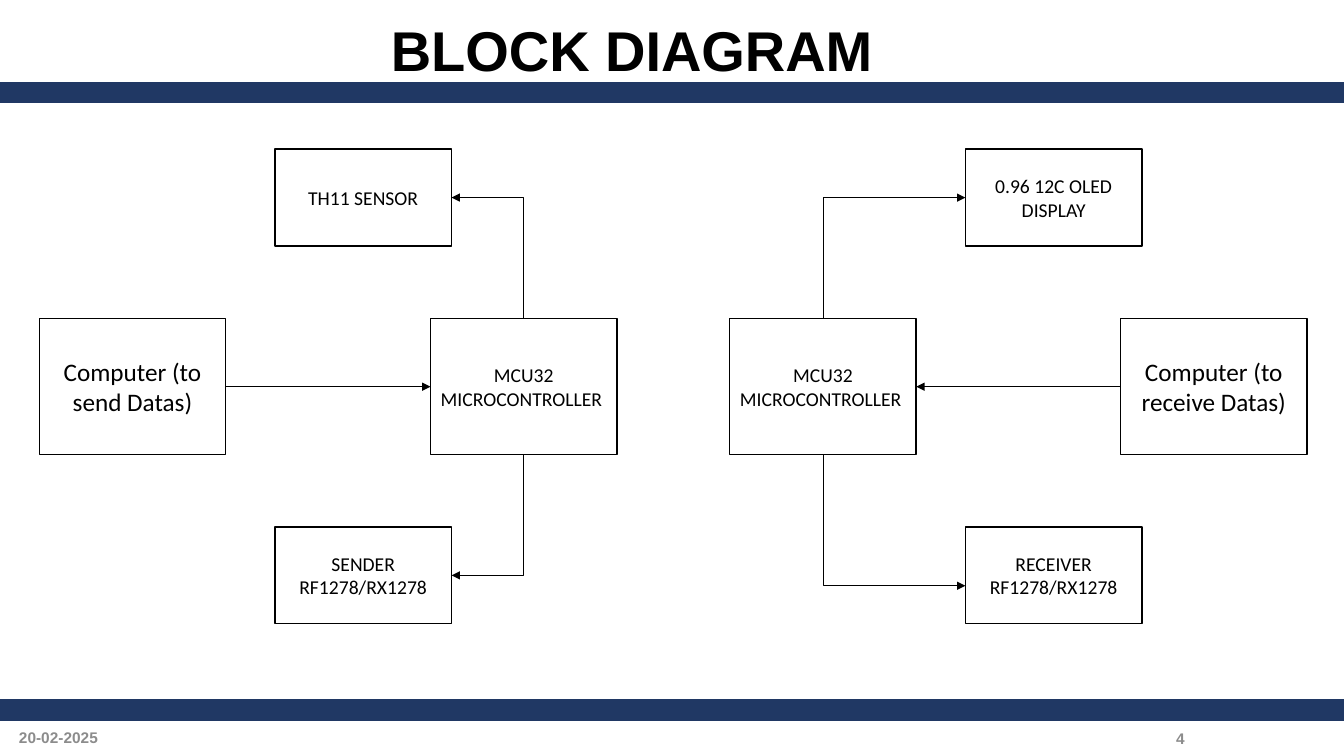
from dataclasses import dataclass

import lxml.etree
import pptx
import pptx.dml.color
import pptx.enum.shapes
import pptx.enum.text
import pptx.oxml.ns
import pptx.shapes.autoshape
import pptx.shapes.connector
import pptx.slide
import pptx.text.text
import pptx.util

Cm = pptx.util.Cm
Pt = pptx.util.Pt
Align = pptx.enum.text.PP_ALIGN
Point = tuple[float, float]


@dataclass(frozen=True)
class Theme:
    navy: str = "203864"
    ink: str = "000000"
    paper: str = "FFFFFF"
    muted: str = "8C8C8C"
    heading_font: str = "Arial"
    block_font: str = "Calibri"
    title_size: int = 40
    computer_size: int = 18
    part_size: int = 14
    footer_size: int = 11
    box_line: float = 1
    arrow_line: float = 0.5


THEME = Theme()
SLIDE_WIDTH, SLIDE_HEIGHT = 33.87, 19.05
BAR_HEIGHT = 0.51
BAR_TOPS = (2.08, 17.63)
LARGE = (4.7, 3.43)
SMALL = (4.45, 2.44)
MIDDLE_TOP, UPPER_TOP, LOWER_TOP = 8.03, 3.76, 13.28


@dataclass(frozen=True)
class Block:
    """A box of the diagram; lengths in centimetres."""
    text: str
    left: float
    top: float
    size: Point
    font_size: int = THEME.part_size

    @property
    def right(self) -> float:
        return self.left + self.size[0]

    @property
    def bottom(self) -> float:
        return self.top + self.size[1]

    @property
    def centre(self) -> Point:
        return self.left + self.size[0] / 2, self.top + self.size[1] / 2


@dataclass(frozen=True)
class Station:
    """One half of the link; lower_shift moves the lower arrow off centre."""
    computer: Block
    controller: Block
    upper: Block
    lower: Block
    inward: bool
    lower_shift: float = 0


def controller_block(left: float) -> Block:
    return Block("MCU32 MICROCONTROLLER ", left, MIDDLE_TOP, LARGE)


STATIONS = (
    Station(
        Block("Computer (to send Datas)", 0.99, MIDDLE_TOP, LARGE, THEME.computer_size),
        controller_block(10.85),
        Block("TH11 SENSOR", 6.93, UPPER_TOP, SMALL),
        Block("SENDER RF1278/RX1278", 6.93, LOWER_TOP, SMALL),
        inward=True,
    ),
    Station(
        Block("Computer (to receive Datas)", 28.24, MIDDLE_TOP, LARGE, THEME.computer_size),
        controller_block(18.39),
        Block("0.96 12C OLED DISPLAY", 24.33, UPPER_TOP, SMALL),
        Block("RECEIVER RF1278/RX1278", 24.33, LOWER_TOP, SMALL),
        inward=False,
        lower_shift=0.26,
    ),
)


def colour(value: str) -> pptx.dml.color.RGBColor:
    return pptx.dml.color.RGBColor.from_string(value)


def write_text(frame: pptx.text.text.TextFrame, text: str, font_name: str, size: int,
               ink: str, bold: bool = False, alignment: Align = Align.CENTER) -> None:
    frame.word_wrap = True
    frame.vertical_anchor = pptx.enum.text.MSO_ANCHOR.MIDDLE
    paragraph = frame.paragraphs[0]
    paragraph.text = text
    paragraph.alignment = alignment
    font = paragraph.font
    font.name, font.size, font.bold = font_name, Pt(size), bold
    font.color.rgb = colour(ink)


def add_rectangle(slide: pptx.slide.Slide, left: float, top: float, width: float, height: float,
                  fill: str, line: str) -> pptx.shapes.autoshape.Shape:
    shape = slide.shapes.add_shape(pptx.enum.shapes.MSO_SHAPE.RECTANGLE,
                                   Cm(left), Cm(top), Cm(width), Cm(height))
    shape.shadow.inherit = False
    shape.fill.solid()
    shape.fill.fore_color.rgb = colour(fill)
    shape.line.color.rgb = colour(line)
    shape.line.width = Pt(THEME.box_line)
    return shape


def add_block(slide: pptx.slide.Slide, block: Block) -> None:
    shape = add_rectangle(slide, block.left, block.top, *block.size, THEME.paper, THEME.ink)
    write_text(shape.text_frame, block.text, THEME.block_font, block.font_size, THEME.ink)


def add_arrow(slide: pptx.slide.Slide, start: Point, end: Point) -> pptx.shapes.connector.Connector:
    connector = slide.shapes.add_connector(pptx.enum.shapes.MSO_CONNECTOR.STRAIGHT,
                                           *map(Cm, start), *map(Cm, end))
    connector.line.color.rgb = colour(THEME.ink)
    connector.line.width = Pt(THEME.arrow_line)
    qn = pptx.oxml.ns.qn
    lxml.etree.SubElement(connector.line._get_or_add_ln(), qn("a:tailEnd"), type="triangle")
    lxml.etree.SubElement(connector._element.spPr, qn("a:effectLst"))
    return connector


def add_bent_arrow(slide: pptx.slide.Slide, start: Point, end: Point) -> None:
    """Run vertically from start, then horizontally to end.

    The preset runs across and then down, so it is turned by a quarter
    about its centre and mirrored where the turn goes the other way.
    """
    (start_x, start_y), (end_x, end_y) = start, end
    centre_x, centre_y = (start_x + end_x) / 2, (start_y + end_y) / 2
    half_width, half_height = abs(end_y - start_y) / 2, abs(end_x - start_x) / 2
    down, right = end_y > start_y, end_x > start_x
    rise = -half_height if down == right else half_height
    connector = add_arrow(slide, (centre_x - half_width, centre_y - rise),
                          (centre_x + half_width, centre_y + rise))
    properties = connector._element.spPr
    properties.find(pptx.oxml.ns.qn("a:prstGeom")).set("prst", "bentConnector2")
    properties.find(pptx.oxml.ns.qn("a:xfrm")).set("rot", str((90 if down else 270) * 60000))


def add_station(slide: pptx.slide.Slide, station: Station) -> None:
    computer, controller = station.computer, station.controller
    for block in (controller, station.upper, station.lower, computer):
        add_block(slide, block)
    middle_x, middle_y = controller.centre
    if station.inward:
        part_edge = station.upper.right
        computer_edge, controller_edge = computer.right, controller.left
    else:
        part_edge = station.upper.left
        computer_edge, controller_edge = computer.left, controller.right
    add_bent_arrow(slide, (middle_x, controller.top), (part_edge, station.upper.centre[1]))
    add_bent_arrow(slide, (middle_x, controller.bottom),
                   (part_edge, station.lower.centre[1] + station.lower_shift))
    add_arrow(slide, (computer_edge, middle_y), (controller_edge, middle_y))


def add_footer(slide: pptx.slide.Slide, text: str, left: float, top: float,
               width: float, height: float, alignment: Align) -> None:
    box = slide.shapes.add_textbox(Cm(left), Cm(top), Cm(width), Cm(height))
    write_text(box.text_frame, text, THEME.heading_font, THEME.footer_size,
               THEME.muted, bold=True, alignment=alignment)


def format_title(slide: pptx.slide.Slide) -> None:
    title = slide.shapes.title
    title.left, title.top, title.width, title.height = map(Cm, (5.46, 0.38, 21.31, 2.13))
    write_text(title.text_frame, "BLOCK DIAGRAM ", THEME.heading_font, THEME.title_size,
               THEME.ink, bold=True)
    title.text_frame.margin_bottom = Cm(0.33)
    title.text_frame.paragraphs[0].line_spacing = 0.9


def main() -> None:
    presentation = pptx.Presentation()
    presentation.slide_width, presentation.slide_height = Cm(SLIDE_WIDTH), Cm(SLIDE_HEIGHT)
    slide = presentation.slides.add_slide(presentation.slide_layouts[5])
    for top in BAR_TOPS:
        add_rectangle(slide, 0, top, SLIDE_WIDTH, BAR_HEIGHT, THEME.navy, THEME.navy)
    format_title(slide)
    add_footer(slide, "20-02-2025", 0, 18.14, 2.95, 0.89, Align.CENTER)
    add_footer(slide, "4", 29.39, 18.21, 4.48, 0.81, Align.LEFT)
    for station in STATIONS:
        add_station(slide, station)
    presentation.save("out.pptx")


if __name__ == "__main__":
    main()
